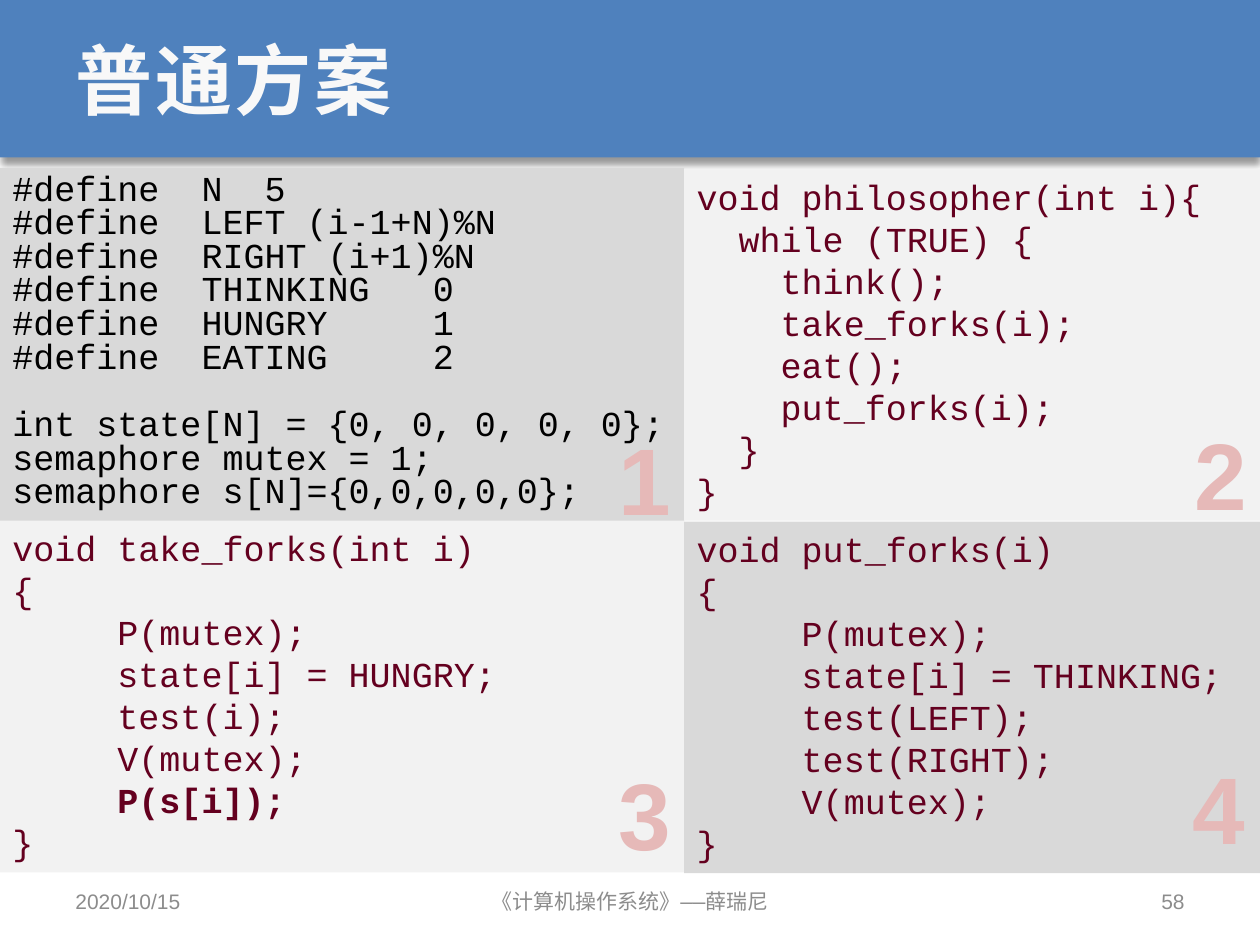
"""Build the slide showing the ordinary solution to the dining philosophers problem."""

from dataclasses import dataclass
from typing import Optional

from lxml.etree import SubElement
from pptx import Presentation
from pptx.dml.color import RGBColor
from pptx.enum.shapes import MSO_SHAPE
from pptx.enum.text import MSO_ANCHOR, PP_ALIGN
from pptx.oxml.ns import qn
from pptx.util import Pt

BLUE = RGBColor(0x4F, 0x81, 0xBD)
TITLE_WHITE = RGBColor(0xF8, 0xF8, 0xF8)
DARK_GRAY = RGBColor(0xD9, 0xD9, 0xD9)
LIGHT_GRAY = RGBColor(0xF2, 0xF2, 0xF2)
FOOTER_GRAY = RGBColor(0x8C, 0x8C, 0x8C)
BLACK = RGBColor(0, 0, 0)
MAROON = RGBColor(0x64, 0x00, 0x1F)
PINK = RGBColor(0xE6, 0xB9, 0xB8)
CHINESE_FONT = "DejaVu Sans Mono"
CODE_FONT = "Courier New"
LABEL_FONT = "Arial"
SLIDE_WIDTH, SLIDE_HEIGHT = 720, 540
SPLIT = 391
BAND_HEIGHT = 90

DEFINITIONS = """#define  N  5
#define  LEFT (i-1+N)%N
#define  RIGHT (i+1)%N
#define  THINKING   0
#define  HUNGRY     1
#define  EATING     2

int state[N] = {0, 0, 0, 0, 0};
semaphore mutex = 1;
semaphore s[N]={0,0,0,0,0};"""

PHILOSOPHER = """void philosopher(int i){
  while (TRUE) {
    think();
    take_forks(i);
    eat();
    put_forks(i);
  }
}"""

TAKE_FORKS = """void take_forks(int i)
{
     P(mutex);
     state[i] = HUNGRY;
     test(i);
     V(mutex);
     P(s[i]);
}"""

PUT_FORKS = """void put_forks(i)
{
     P(mutex);
     state[i] = THINKING;
     test(LEFT);
     test(RIGHT);
     V(mutex);
}"""


@dataclass(frozen=True)
class CodePanel:
    code: str
    left: float
    top: float
    width: float
    height: float
    fill: RGBColor
    color: RGBColor = MAROON
    line_spacing: Optional[float] = None
    bold_line: str = ""


@dataclass(frozen=True)
class Label:
    text: str
    left: float
    top: float
    width: float
    height: float
    size: float
    color: RGBColor
    font: str = LABEL_FONT
    alignment: PP_ALIGN = PP_ALIGN.CENTER
    anchor: MSO_ANCHOR = MSO_ANCHOR.MIDDLE
    bold: bool = False
    wrap: bool = True


PANELS = [
    CodePanel(DEFINITIONS, 0, 96, SPLIT, 202, DARK_GRAY, BLACK, 0.8),
    CodePanel(PHILOSOPHER, SPLIT, 96.5, SLIDE_WIDTH - SPLIT, 201, LIGHT_GRAY),
    CodePanel(TAKE_FORKS, 0, 297.5, SPLIT, 201, LIGHT_GRAY, bold_line="P(s[i]);"),
    CodePanel(PUT_FORKS, SPLIT, 298, SLIDE_WIDTH - SPLIT, 201, DARK_GRAY),
]

FOOTERS = [
    Label("2020/10/15", 36, 500.5, 168, 28.75, 12, FOOTER_GRAY, alignment=PP_ALIGN.LEFT),
    Label("《计算机操作系统》——薛瑞尼", 204, 500.5, 312, 28.75, 12, FOOTER_GRAY, CHINESE_FONT),
    Label("58", 516, 500.5, 168, 28.75, 12, FOOTER_GRAY, alignment=PP_ALIGN.RIGHT),
]

NUMBERS = [
    Label(text, left, top, 44.5, 72.7, 54, PINK, anchor=MSO_ANCHOR.TOP, bold=True, wrap=False)
    for text, left, top in [
        ("1", 346.3, 236.9),
        ("2", 675.4, 234),
        ("3", 346.3, 428.4),
        ("4", 674.2, 425),
    ]
]


def add_run(paragraph, text: str, font: str, size: float, color: RGBColor, bold: bool = False):
    run = paragraph.add_run()
    run.text = text
    run.font.name = font
    run.font.size = Pt(size)
    run.font.bold = bold
    run.font.color.rgb = color
    if font == CHINESE_FONT:
        SubElement(run.font._element, qn("a:ea"), typeface=font)
    return run


def add_rectangle(slide, left: float, top: float, width: float, height: float, fill: RGBColor):
    shape = slide.shapes.add_shape(
        MSO_SHAPE.RECTANGLE, Pt(left), Pt(top), Pt(width), Pt(height)
    )
    shape.shadow.inherit = False
    shape.fill.solid()
    shape.fill.fore_color.rgb = fill
    shape.line.fill.background()
    return shape


def add_header(slide, text: str) -> None:
    band = add_rectangle(slide, 0, 0, SLIDE_WIDTH, BAND_HEIGHT, BLUE)
    effects = band.element.spPr.find(qn("a:effectLst"))
    shadow = SubElement(
        effects, qn("a:outerShdw"),
        blurRad=str(Pt(4)), dist=str(Pt(3)), dir="5400000", rotWithShape="0",
    )
    shadow_color = SubElement(shadow, qn("a:srgbClr"), val="000000")
    SubElement(shadow_color, qn("a:alpha"), val="40000")

    title = slide.shapes.title
    title.element.addprevious(band.element)
    title.left, title.top = Pt(36), Pt(0)
    title.width, title.height = Pt(648), Pt(BAND_HEIGHT)
    title.text_frame.vertical_anchor = MSO_ANCHOR.MIDDLE
    paragraph = title.text_frame.paragraphs[0]
    paragraph.alignment = PP_ALIGN.LEFT
    run = add_run(paragraph, text, CHINESE_FONT, 44, TITLE_WHITE, bold=True)
    run.font._element.set("spc", "150")


def add_code_panel(slide, panel: CodePanel) -> None:
    shape = add_rectangle(slide, panel.left, panel.top, panel.width, panel.height, panel.fill)
    frame = shape.text_frame
    frame.word_wrap = True
    frame.vertical_anchor = MSO_ANCHOR.TOP
    paragraph = frame.paragraphs[0]
    after_gap = False
    for index, line in enumerate(panel.code.splitlines()):
        if not line:
            after_gap = True
            continue
        if index:
            paragraph = frame.add_paragraph()
        paragraph.alignment = PP_ALIGN.LEFT
        if panel.line_spacing:
            paragraph.line_spacing = panel.line_spacing
        if after_gap:
            paragraph.space_before = Pt(19.2)
            after_gap = False
        bold = line.strip() == panel.bold_line
        add_run(paragraph, line, CODE_FONT, 20, panel.color, bold)


def add_label(slide, label: Label) -> None:
    box = slide.shapes.add_textbox(
        Pt(label.left), Pt(label.top), Pt(label.width), Pt(label.height)
    )
    frame = box.text_frame
    frame.word_wrap = label.wrap
    frame.vertical_anchor = label.anchor
    paragraph = frame.paragraphs[0]
    paragraph.alignment = label.alignment
    add_run(paragraph, label.text, label.font, label.size, label.color, label.bold)


def main() -> None:
    presentation = Presentation()
    presentation.slide_width, presentation.slide_height = Pt(SLIDE_WIDTH), Pt(SLIDE_HEIGHT)
    slide = presentation.slides.add_slide(presentation.slide_layouts[5])
    add_header(slide, "普通方案")
    for panel in PANELS:
        add_code_panel(slide, panel)
    for label in FOOTERS + NUMBERS:
        add_label(slide, label)
    presentation.save("out.pptx")


if __name__ == "__main__":
    main()
